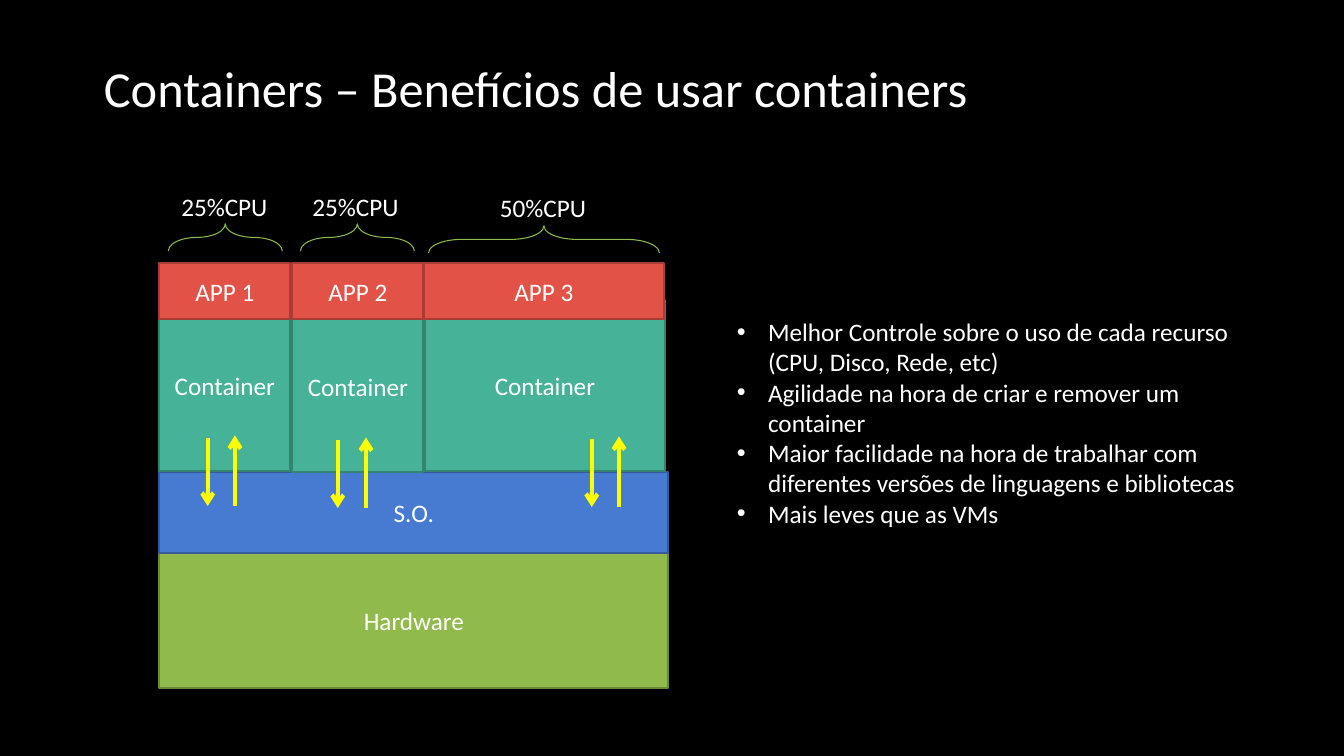
from lxml import etree
from pptx import Presentation
from pptx.dml.color import RGBColor
from pptx.enum.shapes import MSO_CONNECTOR, MSO_SHAPE
from pptx.enum.text import MSO_ANCHOR, PP_ALIGN
from pptx.oxml.ns import qn
from pptx.util import Inches, Pt

RECT, BRACE = MSO_SHAPE.RECTANGLE, MSO_SHAPE.RIGHT_BRACE
STRAIGHT = MSO_CONNECTOR.STRAIGHT
MIDDLE = MSO_ANCHOR.MIDDLE
LEFT, CENTER = PP_ALIGN.LEFT, PP_ALIGN.CENTER

FONT = "Calibri"
BLACK = RGBColor(0x00, 0x00, 0x00)
WHITE = RGBColor(0xFF, 0xFF, 0xFF)
YELLOW = RGBColor(0xFF, 0xFF, 0x00)
GREEN, GREEN_EDGE = RGBColor(0x90, 0xBA, 0x4C), RGBColor(0x6B, 0x8A, 0x38)
BLUE, BLUE_EDGE = RGBColor(0x47, 0x7B, 0xD1), RGBColor(0x35, 0x5B, 0x9B)
TEAL, TEAL_EDGE = RGBColor(0x46, 0xB2, 0x98), RGBColor(0x34, 0x84, 0x70)
RED, RED_EDGE = RGBColor(0xE2, 0x52, 0x47), RGBColor(0xA7, 0x3D, 0x35)

STACK_LEFT, STACK_WIDTH = 1.58, 5.05
BRACE_DEPTH = 0.27

# app, app left, container left, container top, width
COLUMNS = [
    ("APP 1", 1.58, 1.58, 2.98, 1.3),
    ("APP 2", 2.9, 2.9, 2.99, 1.3),
    ("APP 3", 4.2, 4.21, 2.98, 2.39),
]
# share, label left, label top, brace left, brace top, brace span
SHARES = [
    ("25%CPU", 1.7, 1.85, 1.67, 2.22, 1.13),
    ("25%CPU", 3.0, 1.85, 2.98, 2.22, 1.13),
    ("50%CPU", 4.86, 1.86, 4.25, 2.24, 2.29),
]
# down arrow x, up arrow x, top of the down arrow
ARROW_PAIRS = [(2.06, 2.33, 4.35), (3.35, 3.63, 4.37), (5.87, 6.14, 4.36)]
BENEFITS = [
    "Melhor Controle sobre o uso de cada recurso (CPU, Disco, Rede, etc)",
    "Agilidade na hora de criar e remover um container",
    "Maior facilidade na hora de trabalhar com diferentes versões de "
    "linguagens e bibliotecas",
    "Mais leves que as VMs",
]


def add_run(p, text, size=18):
    r = p.add_run()
    r.text = text
    r.font.name = FONT
    r.font.size = Pt(size)
    r.font.color.rgb = WHITE


def add_title(s, text):
    title = s.shapes.title
    title.left, title.top = Inches(0.93), Inches(0.07)
    title.width, title.height = Inches(11.08), Inches(1.59)
    tf = title.text_frame
    tf.vertical_anchor = MIDDLE
    p = tf.paragraphs[0]
    p.alignment = LEFT
    add_run(p, text, 36)


def add_block(s, text, left, top, width, height, fill, edge):
    sp = s.shapes.add_shape(RECT, Inches(left), Inches(top),
                            Inches(width), Inches(height))
    sp.shadow.inherit = False
    sp.fill.solid()
    sp.fill.fore_color.rgb = fill
    sp.line.color.rgb = edge
    sp.line.width = Pt(1.5)
    tf = sp.text_frame
    tf.word_wrap = True
    tf.vertical_anchor = MIDDLE
    p = tf.paragraphs[0]
    p.alignment = CENTER
    add_run(p, text)


def add_arrow(s, x, start, end):
    line = s.shapes.add_connector(STRAIGHT, Inches(x), Inches(start),
                                  Inches(x), Inches(end))
    line.line.color.rgb = YELLOW
    line.line.width = Pt(3)
    etree.SubElement(line.line._get_or_add_ln(), qn("a:tailEnd"), type="arrow")
    etree.SubElement(line._element.spPr, qn("a:effectLst"))


def add_brace(s, left, top, span):
    # The brace is drawn upright, then turned about its centre
    shift = (span - BRACE_DEPTH) / 2
    sp = s.shapes.add_shape(BRACE, Inches(left + shift), Inches(top - shift),
                            Inches(BRACE_DEPTH), Inches(span))
    sp.rotation = 270
    sp.adjustments[0] = 1.211
    sp.adjustments[1] = 0.5
    sp.shadow.inherit = False
    sp.fill.background()
    sp.line.color.rgb = GREEN
    sp.line.width = Pt(0.75)


def add_label(s, text, left, top):
    box = s.shapes.add_textbox(Inches(left), Inches(top), Inches(1.06), Inches(0.4))
    add_run(box.text_frame.paragraphs[0], text)


def add_bullets(s, items, left, top, width, height):
    box = s.shapes.add_textbox(Inches(left), Inches(top),
                               Inches(width), Inches(height))
    tf = box.text_frame
    tf.word_wrap = True
    for i, item in enumerate(items):
        p = tf.add_paragraph() if i else tf.paragraphs[0]
        pPr = p._p.get_or_add_pPr()
        pPr.set("marL", str(Inches(0.31)))
        pPr.set("indent", str(-Inches(0.31)))
        etree.SubElement(pPr, qn("a:buFont"), typeface="Arial")
        etree.SubElement(pPr, qn("a:buChar"), char="•")
        add_run(p, item)


def main():
    prs = Presentation()
    prs.slide_width, prs.slide_height = Inches(13.33), Inches(7.5)
    s = prs.slides.add_slide(prs.slide_layouts[5])
    s.background.fill.solid()
    s.background.fill.fore_color.rgb = BLACK
    add_title(s, "Containers – Benefícios de usar containers")

    # Stack of layers, from the hardware up to the apps
    add_block(s, "Hardware", STACK_LEFT, 5.49, STACK_WIDTH, 1.34, GREEN, GREEN_EDGE)
    add_block(s, "S.O.", STACK_LEFT, 4.68, STACK_WIDTH, 0.81, BLUE, BLUE_EDGE)
    for _, _, left, top, width in COLUMNS:
        add_block(s, "Container", left, top, width, 1.69, TEAL, TEAL_EDGE)
    for app, left, _, _, width in COLUMNS:
        add_block(s, app, left, 2.61, width, 0.56, RED, RED_EDGE)

    # Traffic between containers and operating system
    for down_x, up_x, top in ARROW_PAIRS:
        bottom = top + 0.67
        add_arrow(s, down_x, top, bottom)
        add_arrow(s, up_x, bottom, top - 0.03)

    # Benefits
    add_bullets(s, BENEFITS, 7.21, 3.09, 5.24, 2.22)

    # CPU shares above the apps
    for share, label_left, label_top, left, top, span in SHARES:
        add_brace(s, left, top, span)
        add_label(s, share, label_left, label_top)

    prs.save("out.pptx")


if __name__ == "__main__":
    main()
